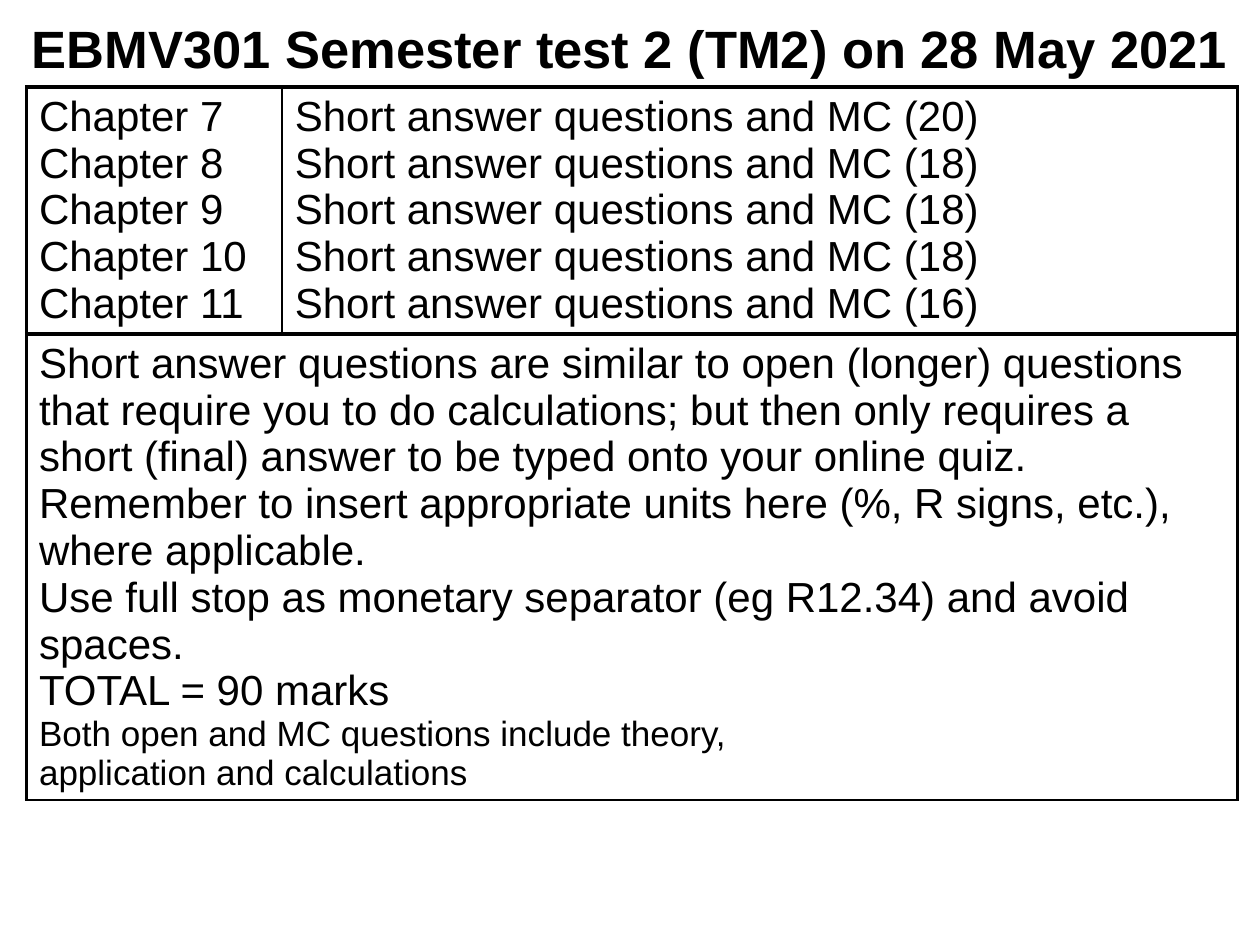
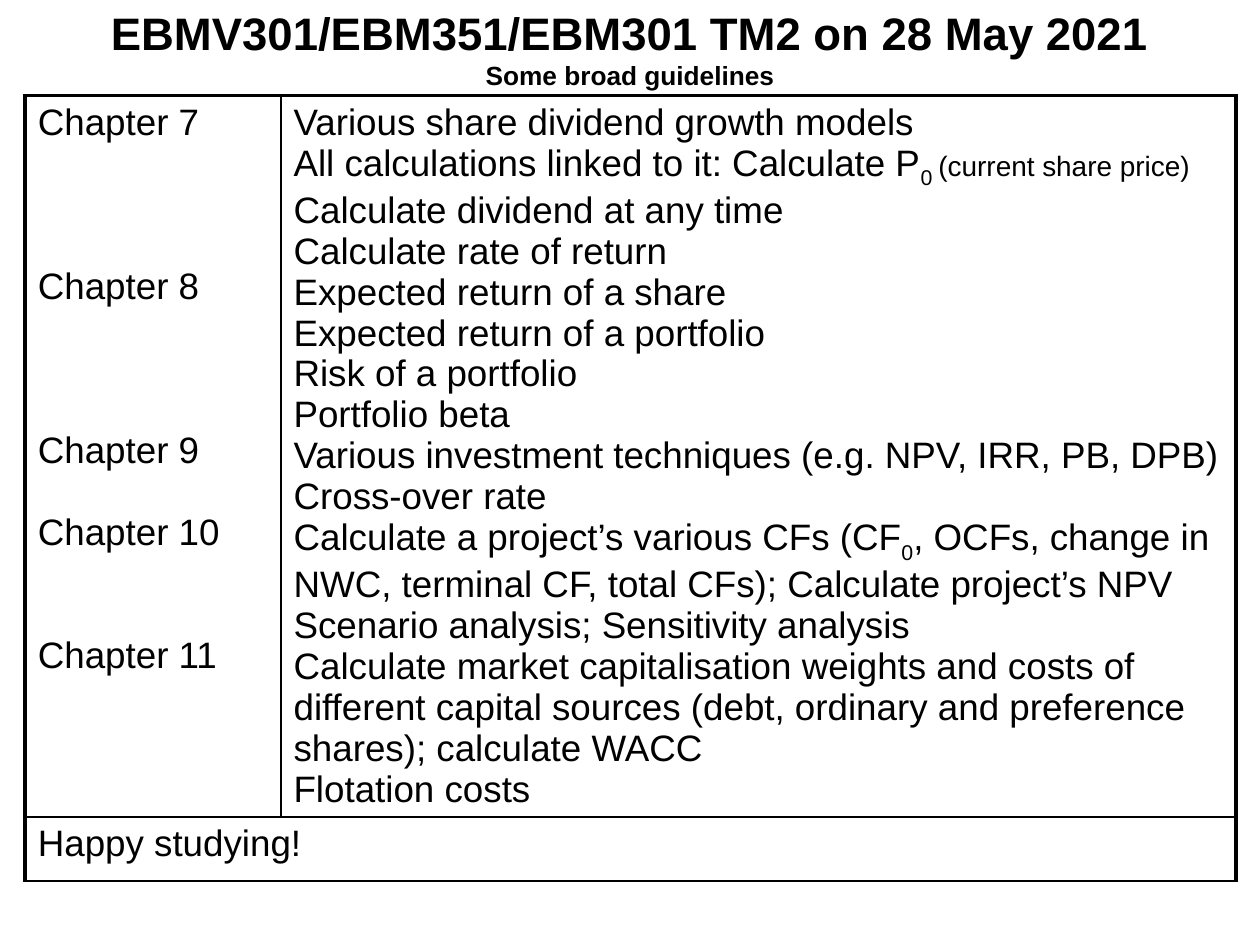
from pptx import Presentation
from pptx.dml.color import RGBColor
from pptx.enum.text import MSO_ANCHOR, MSO_AUTO_SIZE, PP_ALIGN
from pptx.oxml import parse_xml
from pptx.oxml.ns import nsdecls
from pptx.util import Inches, Pt

FONT, INK = "Arial", "000000"
THICK, MEDIUM, THIN = 2.25, 1.5, 1
LINE_HEIGHT = 1.117
COLUMNS = (2.03, 7.58)
SUB = "-25000"

TEST_SECTIONS = [(7, 20), (8, 18), (9, 18), (10, 18), (11, 16)]
TEST_NOTES = [
    "Short answer questions are similar to open (longer) questions that require you to do "
    "calculations; but then only requires a short (final) answer to be typed onto your online quiz.",
    "Remember to insert appropriate units here (%, R signs, etc.), where applicable.",
    "Use full stop as monetary separator (eg R12.34) and avoid spaces.",
    "TOTAL = 90 marks",
]
TEST_SCOPE = ["Both open and MC questions include theory,", "application and calculations"]

GUIDELINES = [
    "Various share dividend growth models",
    [("All calculations linked to it: Calculate P", 21, None), ("0 ", 21, SUB),
     ("(current share price)", 16, None)],
    "Calculate dividend at any time",
    "Calculate rate of return",
    "Expected return of a share",
    "Expected return of a portfolio",
    "Risk of a portfolio",
    "Portfolio beta",
    "Various investment techniques (e.g. NPV, IRR, PB, DPB)",
    "Cross-over rate",
    [("Calculate a project’s various CFs (CF", 21, None), ("0", 21, SUB),
     (", OCFs, change in NWC, terminal CF, total CFs); Calculate project’s NPV", 21, None)],
    "Scenario analysis; Sensitivity analysis",
    "Calculate market capitalisation weights and costs of different capital sources "
    "(debt, ordinary and preference shares); calculate WACC",
    "Flotation costs",
]
CHAPTER_GAPS = [(7, 0), (8, 3), (9, 3), (10, 1), (11, 2)]


def color(hex_string):
    return RGBColor.from_string(hex_string)


def line(content, size, lines_before=0):
    return content, size, lines_before


def lines(contents, size):
    return [line(content, size) for content in contents]


def write(tf, paragraphs, bold=False, align=PP_ALIGN.LEFT):
    for i, (content, size, lines_before) in enumerate(paragraphs):
        p = tf.paragraphs[0] if i == 0 else tf.add_paragraph()
        p.alignment = align
        p.space_before = Pt(round(lines_before * size * LINE_HEIGHT, 2))
        p.font.name, p.font.size, p.font.bold = FONT, Pt(size), bold
        p.font.color.rgb = color(INK)
        if isinstance(content, str):
            p.add_run().text = content
            continue
        for text, run_size, baseline in content:
            r = p.add_run()
            r.text = text
            r.font.size = Pt(run_size)
            if baseline:
                r._r.get_or_add_rPr().set("baseline", baseline)


def add_titled_slide(prs, title_lines):
    slide = prs.slides.add_slide(prs.slide_layouts[5])
    sp = slide.shapes.title
    sp.left, sp.top = 0, 0
    sp.width, sp.height = prs.slide_width, Inches(0.76)
    tf = sp.text_frame
    tf.auto_size = MSO_AUTO_SIZE.NONE
    tf.word_wrap = True
    tf.vertical_anchor = MSO_ANCHOR.MIDDLE
    write(tf, title_lines, bold=True, align=PP_ALIGN.CENTER)
    return slide


def set_borders(cell, left, right, top, bottom):
    tcPr = cell._tc.get_or_add_tcPr()
    for side, width in zip("LRTB", (left, right, top, bottom)):
        tcPr.append(parse_xml(
            f'<a:ln{side} {nsdecls("a")} w="{Pt(width)}"><a:solidFill>'
            f'<a:srgbClr val="{INK}"/></a:solidFill></a:ln{side}>'))


def add_chapter_table(slide, left, top, heights, divider, chapters, topics, footer):
    frame = slide.shapes.add_table(2, 2, Inches(left), Inches(top),
                                   Inches(sum(COLUMNS)), Inches(sum(heights)))
    table = frame.table
    table.first_row = table.horz_banding = False
    for column, width in zip(table.columns, COLUMNS):
        column.width = Inches(width)
    for row, height in zip(table.rows, heights):
        row.height = Inches(height)
    table.cell(1, 0).merge(table.cell(1, 1))
    set_borders(table.cell(0, 0), THICK, THIN, THICK, divider)
    set_borders(table.cell(0, 1), THIN, THICK, THICK, divider)
    for cell in (table.cell(1, 0), table.cell(1, 1)):
        set_borders(cell, THICK, THICK, divider, MEDIUM)
    for cell in table.iter_cells():
        cell.fill.background()
    for position, paragraphs in (((0, 0), chapters), ((0, 1), topics), ((1, 0), footer)):
        write(table.cell(*position).text_frame, paragraphs)


def main():
    prs = Presentation()
    prs.slide_width, prs.slide_height = Inches(10), Inches(7.5)

    slide = add_titled_slide(prs, [line("EBMV301 Semester test 2 (TM2) on 28 May 2021", 30)])
    add_chapter_table(
        slide, 0.21, 0.69, (1.96, 3.7), THICK,
        lines([f"Chapter {n}" for n, _ in TEST_SECTIONS], 24),
        lines([f"Short answer questions and MC ({marks})" for _, marks in TEST_SECTIONS], 24),
        lines(TEST_NOTES, 24) + lines(TEST_SCOPE, 20))

    slide = add_titled_slide(prs, [line("EBMV301/EBM351/EBM301 TM2 on 28 May 2021", 26),
                                   line("Some broad guidelines", 15)])
    add_chapter_table(
        slide, 0.2, 0.76, (5.67, 0.51), THIN,
        [line(f"Chapter {n}", 21, gap) for n, gap in CHAPTER_GAPS],
        lines(GUIDELINES, 21),
        lines(["Happy studying!"], 21))

    prs.save("out.pptx")


if __name__ == "__main__":
    main()
